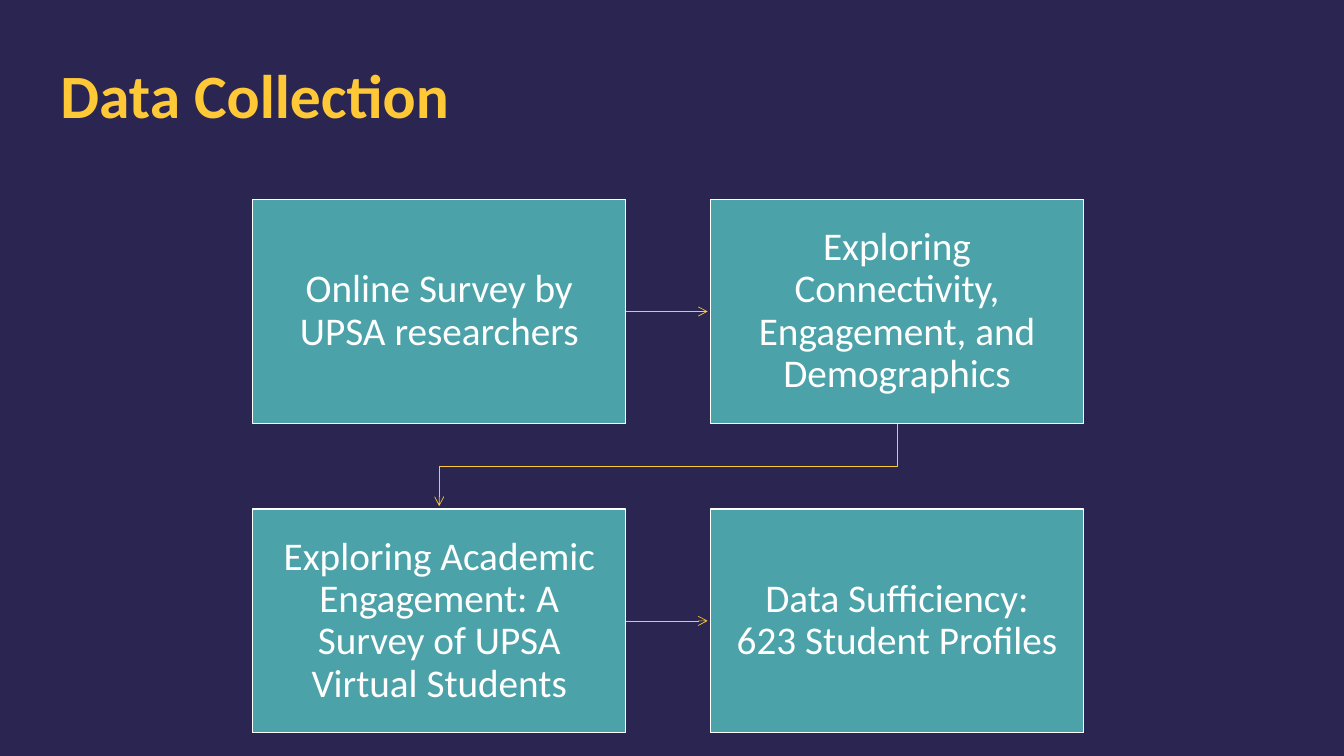
from lxml.etree import SubElement
from pptx import Presentation
from pptx.dml.color import RGBColor
from pptx.enum.shapes import MSO_CONNECTOR, MSO_SHAPE
from pptx.enum.text import MSO_ANCHOR, PP_ALIGN
from pptx.oxml.ns import qn
from pptx.util import Pt

NAVY = RGBColor(0x2B, 0x25, 0x51)
TEAL = RGBColor(0x4C, 0xA2, 0xA9)
GOLD = RGBColor(0xFF, 0xC8, 0x37)
ARROW_GOLD = RGBColor(0xFE, 0xC7, 0x36)
WHITE = RGBColor(0xFF, 0xFF, 0xFF)
FONT = "Calibri"
COLUMNS = 2
ARROW_GAP = Pt(2)
STEPS = [
    "Online Survey by UPSA researchers",
    "Exploring Connectivity, Engagement, and Demographics",
    "Exploring Academic Engagement: A Survey of UPSA Virtual Students",
    "Data Sufficiency: 623 Student Profiles",
]


def set_paragraph(paragraph, text, size, color, bold=False):
    """Write one paragraph in the slide's font."""
    paragraph.text = text
    paragraph.line_spacing = 0.9
    paragraph.font.name = FONT
    paragraph.font.size = Pt(size)
    paragraph.font.bold = bold
    paragraph.font.color.rgb = color


def add_title(slide, text, left, top, width, height):
    """Place the slide heading in the given box."""
    frame = slide.shapes.add_textbox(left, top, width, height).text_frame
    frame.word_wrap = True
    frame.vertical_anchor = MSO_ANCHOR.MIDDLE
    set_paragraph(frame.paragraphs[0], text, 44, GOLD, bold=True)


def add_step(slide, text, left, top, width, height):
    """Place one step of the flow in the given box."""
    step = slide.shapes.add_shape(MSO_SHAPE.RECTANGLE, left, top, width, height)
    step.shadow.inherit = False
    step.fill.solid()
    step.fill.fore_color.rgb = TEAL
    step.line.color.rgb = WHITE
    step.line.width = Pt(1)
    frame = step.text_frame
    frame.word_wrap = True
    frame.vertical_anchor = MSO_ANCHOR.MIDDLE
    frame.margin_left = frame.margin_right = Pt(16)
    frame.margin_top = frame.margin_bottom = Pt(16)
    set_paragraph(frame.paragraphs[0], text, 28, WHITE)
    frame.paragraphs[0].alignment = PP_ALIGN.CENTER


def style_arrow(arrow):
    """Give a link its thin gold line and open arrowhead."""
    arrow.line.color.rgb = ARROW_GOLD
    arrow.line.width = Pt(0.5)
    SubElement(arrow.line._get_or_add_ln(), qn("a:tailEnd"), type="arrow")
    SubElement(arrow._element.spPr, qn("a:effectLst"))


def add_row_arrow(slide, start_x, end_x, y):
    """Link two neighbouring steps of a row."""
    style_arrow(slide.shapes.add_connector(MSO_CONNECTOR.STRAIGHT, start_x, y, end_x, y))


def add_return_arrow(slide, start_x, start_y, end_x, end_y, turn_y):
    """Link the end of a row to the start of the next one."""
    builder = slide.shapes.build_freeform(start_x, start_y)
    builder.add_line_segments(
        [(start_x, turn_y), (end_x, turn_y), (end_x, end_y)], close=False
    )
    arrow = builder.convert_to_shape()
    arrow.fill.background()
    style_arrow(arrow)


def add_flow(slide, steps, left, top, width, height):
    """Lay the steps out row by row in the given box and link them in order."""
    rows = len(steps) // COLUMNS
    gap_x, gap_y = Pt(60.5), Pt(61)
    step_width = (width - gap_x * (COLUMNS - 1)) // COLUMNS
    step_height = (height - gap_y * (rows - 1)) // rows
    for index, text in enumerate(steps):
        row, column = divmod(index, COLUMNS)
        x = left + column * (step_width + gap_x)
        y = top + row * (step_height + gap_y)
        right, bottom = x + step_width, y + step_height
        if column < COLUMNS - 1:
            add_row_arrow(slide, right, right + gap_x - ARROW_GAP, y + step_height // 2)
        elif row < rows - 1:
            add_return_arrow(
                slide,
                x + step_width // 2,
                bottom,
                left + step_width // 2,
                bottom + gap_y - ARROW_GAP,
                bottom + gap_y // 2,
            )
        add_step(slide, text, x, y, step_width, step_height)


def main():
    """Build the data collection slide."""
    deck = Presentation()
    deck.slide_width, deck.slide_height = Pt(960), Pt(540)
    slide = deck.slides.add_slide(deck.slide_layouts[6])
    slide.background.fill.solid()
    slide.background.fill.fore_color.rgb = NAVY
    add_flow(slide, STEPS, Pt(180.5), Pt(142.5), Pt(593.5), Pt(381))
    add_title(slide, "Data Collection", Pt(36), Pt(34), Pt(796), Pt(73))
    deck.save("out.pptx")


if __name__ == "__main__":
    main()
